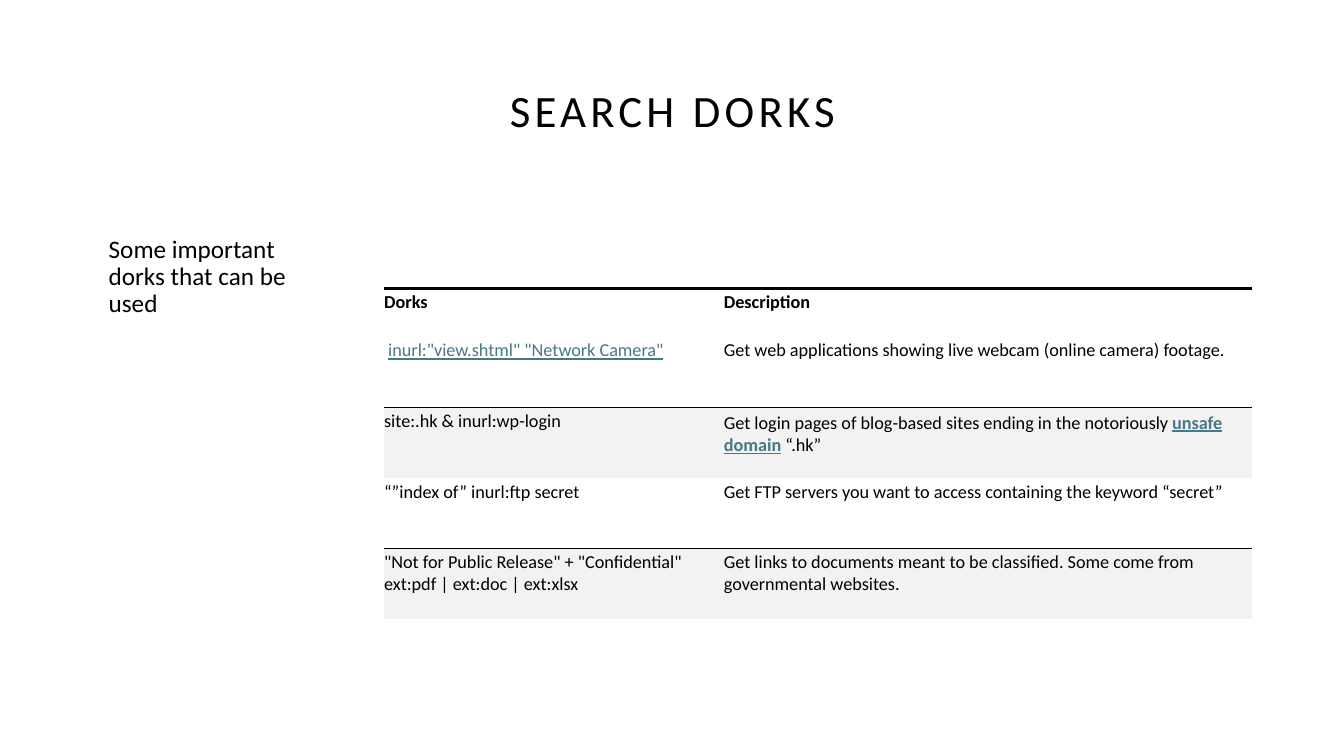
from lxml import etree
from pptx import Presentation
from pptx.dml.color import RGBColor
from pptx.enum.text import MSO_ANCHOR, PP_ALIGN
from pptx.oxml.ns import qn
from pptx.util import Inches, Pt

TOP, MIDDLE = MSO_ANCHOR.TOP, MSO_ANCHOR.MIDDLE
LEFT, CENTER = PP_ALIGN.LEFT, PP_ALIGN.CENTER
FACE = "Calibri"
BLACK, LINK, BAND = "000000", "467886", "F2F2F2"

# Each cell is a list of (text, style) runs
COLS = [3.37, 5.24]
ROWS = [0.48] + [0.7] * 4
CELLS = [
    [[("Dorks", "bold")], [("Description", "bold")]],
    [[(" ", ""), ('inurl:"view.shtml" "Network Camera"', "link")],
     [("Get web applications showing live webcam (online camera) footage.", "")]],
    [[("site:.hk & inurl:wp-login", "")],
     [("Get login pages of blog-based sites ending in the notoriously ", ""),
      ("unsafe domain", "bold link"), (" “.hk”", "")]],
    [[("“”index of” inurl:ftp secret", "")],
     [("Get FTP servers you want to access containing the keyword “secret”", "")]],
    [[('"Not for Public Release" + "Confidential" ext:pdf | ext:doc | ext:xlsx', "")],
     [("Get links to documents meant to be classified. "
       "Some come from governmental websites.", "")]],
]
# Line above each row, in points, and none below the last
LINES = [2.25, 0, 0.5, 0, 0.5, 0]


def color(code):
    return RGBColor.from_string(code)


def style_run(run, size, code=BLACK):
    run.font.name = FACE
    run.font.size = Pt(size)
    run.font.color.rgb = color(code)


def add_text(slide, box, text, size, align=LEFT, anchor=TOP):
    frame = slide.shapes.add_textbox(*map(Inches, box)).text_frame
    frame.word_wrap = True
    frame.vertical_anchor = anchor
    para = frame.paragraphs[0]
    para.text = text
    para.alignment = align
    para.line_spacing = 0.9
    run = para.runs[0]
    style_run(run, size)
    return run


def set_edges(cell, above, below):
    props = cell._tc.get_or_add_tcPr()
    edges = [("a:lnL", 0), ("a:lnR", 0), ("a:lnT", above), ("a:lnB", below)]
    for spot, (tag, width) in enumerate(edges):
        line = etree.Element(qn(tag), w=str(int(Pt(width))))
        if width:
            fill = etree.SubElement(line, qn("a:solidFill"))
            etree.SubElement(fill, qn("a:srgbClr"), val=BLACK)
        else:
            etree.SubElement(line, qn("a:noFill"))
        props.insert(spot, line)


def fill_cell(cell, runs, shaded):
    cell.margin_left, cell.margin_top = Inches(0), Inches(0.03)
    cell.margin_right, cell.margin_bottom = Inches(0.06), Inches(0.19)
    if shaded:
        cell.fill.solid()
        cell.fill.fore_color.rgb = color(BAND)
    else:
        cell.fill.background()
    para = cell.text_frame.paragraphs[0]
    for text, style in runs:
        run = para.add_run()
        run.text = text
        style_run(run, 13, LINK if "link" in style else BLACK)
        run.font.bold = "bold" in style
        run.font.underline = "link" in style


def add_grid(slide, left, top):
    size = map(Inches, (left, top, sum(COLS), sum(ROWS)))
    table = slide.shapes.add_table(len(ROWS), len(COLS), *size).table
    table.first_row = table.horz_banding = False
    for col, width in zip(table.columns, COLS):
        col.width = Inches(width)
    for r, height in enumerate(ROWS):
        table.rows[r].height = Inches(height)
        for c, runs in enumerate(CELLS[r]):
            cell = table.cell(r, c)
            fill_cell(cell, runs, shaded=r in (2, 4))
            set_edges(cell, LINES[r], LINES[r + 1])
    return table


def main():
    deck = Presentation()
    deck.slide_width, deck.slide_height = Inches(13.33), Inches(7.5)
    slide = deck.slides.add_slide(deck.slide_layouts[6])

    # Title with wide letter spacing
    title = add_text(slide, (0.92, 0.4, 11.5, 1.45), "SEARCH DORKS", 32,
                     CENTER, MIDDLE)
    title._r.get_or_add_rPr().set("spc", "300")

    # Side note
    add_text(slide, (0.98, 2.3, 2.26, 3.97),
             "Some important dorks that can be used", 18)

    # Table of dorks
    table = add_grid(slide, 3.81, 2.86)
    table.cell(2, 1).vertical_anchor = MIDDLE

    deck.save("out.pptx")


if __name__ == "__main__":
    main()
